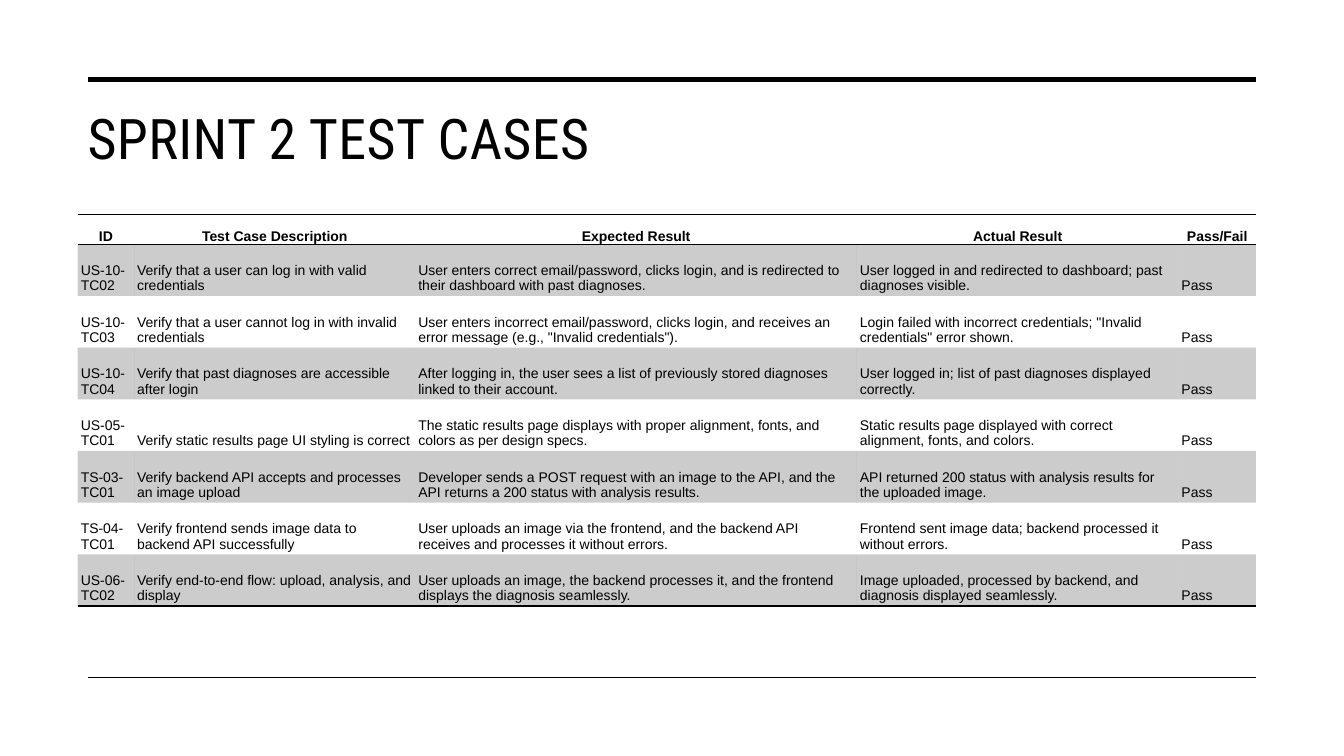
from lxml.etree import SubElement as Sub
from pptx import Presentation
from pptx.dml.color import RGBColor
from pptx.enum.shapes import MSO_CONNECTOR as CONNECTOR
from pptx.enum.text import MSO_ANCHOR as ANCHOR, PP_ALIGN as ALIGN
from pptx.oxml.ns import qn
from pptx.util import Pt

BLACK = "000000"
HEADINGS = ["ID", "Test Case Description", "Expected Result", "Actual Result", "Pass/Fail"]
TEST_CASES = [
    ("US-10-TC02", "Verify that a user can log in with valid credentials",
     "User enters correct email/password, clicks login, and is redirected to "
     "their dashboard with past diagnoses.",
     "User logged in and redirected to dashboard; past diagnoses visible.", "Pass"),
    ("US-10-TC03", "Verify that a user cannot log in with invalid credentials",
     "User enters incorrect email/password, clicks login, and receives an "
     'error message (e.g., "Invalid credentials").',
     'Login failed with incorrect credentials; "Invalid credentials" error shown.', "Pass"),
    ("US-10-TC04", "Verify that past diagnoses are accessible after login",
     "After logging in, the user sees a list of previously stored diagnoses "
     "linked to their account.",
     "User logged in; list of past diagnoses displayed correctly.", "Pass"),
    ("US-05-TC01", "Verify static results page UI styling is correct",
     "The static results page displays with proper alignment, fonts, and "
     "colors as per design specs.",
     "Static results page displayed with correct alignment, fonts, and colors.", "Pass"),
    ("TS-03-TC01", "Verify backend API accepts and processes an image upload",
     "Developer sends a POST request with an image to the API, and the "
     "API returns a 200 status with analysis results.",
     "API returned 200 status with analysis results for the uploaded image.", "Pass"),
    ("TS-04-TC01", "Verify frontend sends image data to backend API successfully",
     "User uploads an image via the frontend, and the backend API "
     "receives and processes it without errors.",
     "Frontend sent image data; backend processed it without errors.", "Pass"),
    ("US-06-TC02", "Verify end-to-end flow: upload, analysis, and display",
     "User uploads an image, the backend processes it, and the frontend "
     "displays the diagnosis seamlessly.",
     "Image uploaded, processed by backend, and diagnosis displayed seamlessly.", "Pass"),
]
COLUMN_WIDTHS = [40.3, 200.9, 315.4, 229.7, 55.4]
HEADER_HEIGHT, CASE_HEIGHT = 21, 36.92


def color(hex_code):
    return RGBColor.from_string(hex_code)


def style_run(run, font_name, size, bold=False):
    run.font.name = font_name
    run.font.size = Pt(size)
    run.font.bold = bold
    run.font.color.rgb = color(BLACK)


def add_rule(slide, y, weight):
    rule = slide.shapes.add_connector(CONNECTOR.STRAIGHT, Pt(63), Pt(y), Pt(897), Pt(y))
    rule.line.color.rgb = color(BLACK)
    rule.line.width = Pt(weight)
    Sub(rule._element.spPr, qn("a:effectLst"))


def add_title(slide, text):
    title = slide.shapes.add_textbox(Pt(55.5), Pt(70.5), Pt(841.5), Pt(90.5))
    frame = title.text_frame
    frame.word_wrap = True
    frame.vertical_anchor = ANCHOR.TOP
    frame.text = text
    run = frame.paragraphs[0].runs[0]
    style_run(run, "Roboto Condensed", 40)
    run._r.get_or_add_rPr().set("spc", "30")


def set_borders(cell, top, bottom):
    tc_pr = cell._tc.get_or_add_tcPr()
    for side, visible in (("L", False), ("R", False), ("T", top), ("B", bottom)):
        border = Sub(tc_pr, qn(f"a:ln{side}"), w=str(Pt(1)))
        if visible:
            Sub(Sub(border, qn("a:solidFill")), qn("a:srgbClr"), val=BLACK)
        else:
            Sub(border, qn("a:noFill"))


def shade(cell):
    cell.fill.solid()
    cell.fill.fore_color.rgb = color(BLACK)
    tint = cell._tc.tcPr.find(qn("a:solidFill")).find(qn("a:srgbClr"))
    Sub(tint, qn("a:alpha"), val="20000")


def fill_cell(cell, text, is_header):
    cell.vertical_anchor = ANCHOR.BOTTOM
    cell.margin_left = cell.margin_right = Pt(0 if is_header else 2.2)
    cell.margin_top = cell.margin_bottom = Pt(0 if is_header else 1.4)
    cell.text = text
    paragraph = cell.text_frame.paragraphs[0]
    paragraph.alignment = ALIGN.CENTER if is_header else ALIGN.LEFT
    style_run(paragraph.runs[0], "Arial", 10, is_header)


def add_case_table(slide, rows):
    heights = [HEADER_HEIGHT] + [CASE_HEIGHT] * (len(rows) - 1)
    table = slide.shapes.add_table(
        len(rows), len(COLUMN_WIDTHS), Pt(55.5), Pt(153.5),
        Pt(sum(COLUMN_WIDTHS)), Pt(sum(heights))).table
    table.first_row = table.horz_banding = False
    for column, width in zip(table.columns, COLUMN_WIDTHS):
        column.width = Pt(width)
    for r, (texts, height) in enumerate(zip(rows, heights)):
        table.rows[r].height = Pt(height)
        for c, text in enumerate(texts):
            cell = table.cell(r, c)
            fill_cell(cell, text, r == 0)
            # Lines frame the header and close the last row
            set_borders(cell, top=r <= 1, bottom=r in (0, len(rows) - 1))
            if r % 2:
                shade(cell)
            else:
                cell.fill.background()


def main():
    prs = Presentation()
    prs.slide_width, prs.slide_height = Pt(960), Pt(540)
    slide = prs.slides.add_slide(prs.slide_layouts[6])

    # Rules above and below the content
    add_rule(slide, 57, 3.5)
    add_rule(slide, 484, 1)

    # Title and test results
    add_title(slide, "SPRINT 2 TEST CASES")
    add_case_table(slide, [HEADINGS] + TEST_CASES)

    prs.save("out.pptx")


if __name__ == "__main__":
    main()
